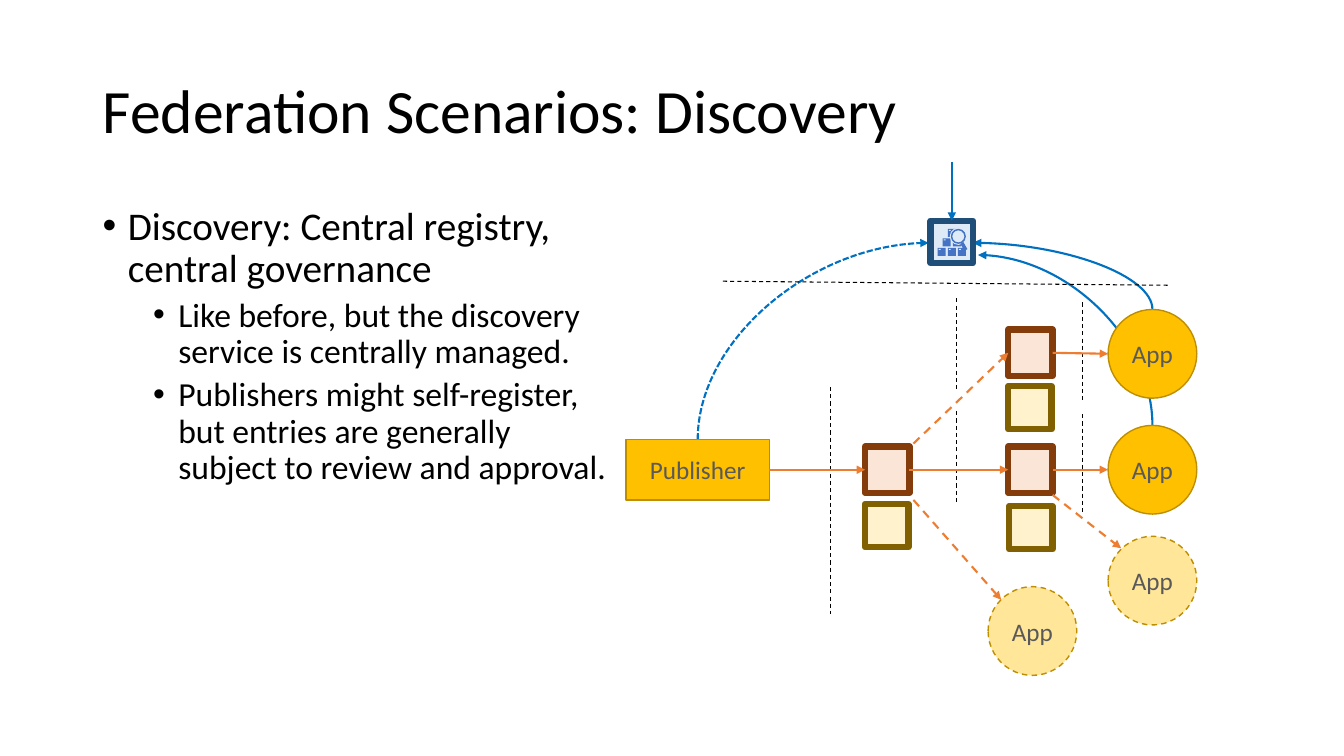
from lxml.etree import SubElement
from pptx import Presentation
from pptx.dml.color import RGBColor
from pptx.enum.dml import MSO_LINE as Dash
from pptx.enum.shapes import MSO_CONNECTOR as Link, MSO_SHAPE as Kind
from pptx.enum.text import MSO_ANCHOR as Anchor, MSO_AUTO_SIZE as Fit, PP_ALIGN as Align
from pptx.oxml.ns import qn
from pptx.util import Inches, Pt

BLACK = RGBColor(0x00, 0x00, 0x00)
GRAY = RGBColor(0x59, 0x59, 0x59)
GOLD = RGBColor(0xFF, 0xC0, 0x00)
PALE = RGBColor(0xFF, 0xE6, 0x99)
EDGE = RGBColor(0xBD, 0x8E, 0x00)
PEACH = RGBColor(0xFB, 0xE5, 0xD6)
BROWN = RGBColor(0x84, 0x3C, 0x0B)
CREAM = RGBColor(0xFF, 0xF2, 0xCC)
OLIVE = RGBColor(0x80, 0x60, 0x00)
ICE = RGBColor(0xDE, 0xEB, 0xF7)
NAVY = RGBColor(0x1F, 0x4E, 0x79)
ICON = RGBColor(0x44, 0x72, 0xC4)
ORANGE = RGBColor(0xED, 0x7D, 0x31)
BLUE = RGBColor(0x00, 0x70, 0xC0)

TITLE = "Federation Scenarios: Discovery"
POINTS = [
    (0, ["Discovery: Central registry, central governance"]),
    (1, ["Like before, but the discovery service is centrally managed."]),
    (1, ["Publishers might self-register,", "but entries are generally",
         "subject to review and approval."]),
]
LEVELS = [(0.25, 28, 10), (0.75, 24, 5)]

CURVES = [
    ((6.92, 4.36), (9.21, 2.41), Dash.SQUARE_DOT),
    ((11.43, 3.07), (9.65, 2.41), None),
    ((11.43, 4.22), (9.7, 2.53), None),
]
RELAYS = {"hub": (8.58, 4.43), "low": (10, 4.43), "high": (10, 3.27)}
STORES = [(10, 3.83), (10.01, 5.02), (8.58, 5)]
APPS = [(10.99, 3.07, True), (10.99, 4.22, True), (10.99, 5.32, False), (9.8, 5.82, False)]
BORDERS = [
    ((8.24, 3.84), (8.24, 6.09)),
    ((9.49, 4.08), (9.49, 4.98)),
    ((10.74, 4.11), (10.74, 5.11)),
    ((9.49, 2.96), (9.49, 3.86)),
    ((10.74, 3), (10.74, 4)),
    ((7.17, 2.79), (11.59, 2.83)),
]
FLOWS = [
    ("pub", "hub"),
    ("hub", "low"),
    ("low", (10.99, 4.66)),
    ("high", (10.99, 3.51)),
]
OPTIONS = [
    ((9.06, 4.4), (10, 3.5)),
    ((10.44, 4.91), (11.12, 5.44)),
    ((9.06, 4.96), (9.93, 5.95)),
]


def style(run, size, color):
    font = run.font
    font.name, font.size, font.color.rgb = "Calibri", Pt(size), color


def add_node(slide, kind, box, fill, edge=None, width=1, text="", dash=None):
    node = slide.shapes.add_shape(kind, *map(Inches, box))
    node.shadow.inherit = False
    node.fill.solid()
    node.fill.fore_color.rgb = fill
    if edge is None:
        node.line.fill.background()
    else:
        node.line.color.rgb, node.line.width = edge, Pt(width)
        node.line.dash_style = dash
    if text:
        frame = node.text_frame
        frame.vertical_anchor = Anchor.MIDDLE
        para = frame.paragraphs[0]
        para.alignment = Align.CENTER
        run = para.add_run()
        run.text = text
        style(run, 18, GRAY)
    return node


def add_line(slide, start, end, color, width=1.5, dash=None, arrow=True, kind=Link.STRAIGHT):
    line = slide.shapes.add_connector(kind, *map(Inches, (*start, *end)))
    line.line.color.rgb, line.line.width = color, Pt(width)
    line.line.dash_style = dash
    props = line._element.spPr
    if arrow:
        SubElement(props.find(qn("a:ln")), qn("a:tailEnd"), type="triangle")
    SubElement(props, qn("a:effectLst"))
    return line


def add_curve(slide, start, end, dash):
    (x1, y1), (x2, y2) = start, end
    mid_x, mid_y = (x1 + x2) / 2, (y1 + y2) / 2
    half_w, half_h = abs(y2 - y1) / 2, abs(x2 - x1) / 2
    line = add_line(slide, (mid_x - half_w, mid_y - half_h), (mid_x + half_w, mid_y + half_h),
                    BLUE, dash=dash, kind=Link.CURVE)
    props = line._element.spPr
    props.find(qn("a:prstGeom")).set("prst", "curvedConnector2")
    form = props.find(qn("a:xfrm"))
    form.set("rot", str((90 if x2 > x1 else 270) * 60000))
    form.set("flipV", "1")
    if x2 > x1:
        form.set("flipH", "1")


def add_icon(slide):
    for row in range(3):
        for col in range(row + 1):
            x, y = 9.4 - 0.05 * row + 0.1 * col, 2.27 + 0.095 * row
            add_node(slide, Kind.RECTANGLE, (x, y, 0.08, 0.08), ICON)
            add_node(slide, Kind.RECTANGLE, (x + 0.01, y + 0.01, 0.02, 0.01), ICE)
    add_node(slide, Kind.OVAL, (9.42, 2.26, 0.17, 0.17), ICE)
    lens = add_node(slide, Kind.DONUT, (9.43, 2.27, 0.15, 0.15), ICON)
    lens.adjustments[0] = 0.1
    add_line(slide, (9.54, 2.41), (9.58, 2.48), ICON, 2.5, arrow=False)


def add_text(slide):
    title = slide.shapes.title
    title.left, title.top, title.width, title.height = map(Inches, (0.92, 0.4, 11.5, 1.45))
    frame = title.text_frame
    frame.auto_size, frame.vertical_anchor = Fit.NONE, Anchor.MIDDLE
    para = frame.paragraphs[0]
    para.alignment, para.line_spacing = Align.LEFT, 0.9
    run = para.add_run()
    run.text = TITLE
    style(run, 44, BLACK)

    frame = slide.shapes.add_textbox(*map(Inches, (0.92, 2, 5.62, 3.51))).text_frame
    frame.word_wrap = True
    for i, (level, lines) in enumerate(POINTS):
        para = frame.add_paragraph() if i else frame.paragraphs[0]
        left, size, gap = LEVELS[level]
        props = para._p.get_or_add_pPr()
        props.set("marL", str(Inches(left)))
        props.set("indent", str(Inches(-0.25)))
        SubElement(props, qn("a:buFont"), typeface="Arial")
        SubElement(props, qn("a:buChar"), char="•")
        para.level, para.line_spacing = level, 0.9
        para.space_before = Pt(gap if i else 0)
        for j, line in enumerate(lines):
            if j:
                para.add_line_break()
            run = para.add_run()
            run.text = line
            style(run, size, BLACK)


def add_graph(slide):
    for start, end, dash in CURVES:
        add_curve(slide, start, end, dash)
    nodes = {"pub": add_node(slide, Kind.RECTANGLE, (6.21, 4.36, 1.42, 0.6), GOLD, EDGE,
                             text="Publisher")}
    for name, spot in RELAYS.items():
        nodes[name] = add_node(slide, Kind.RECTANGLE, (*spot, 0.44, 0.46), PEACH, BROWN, 4.5)
    for spot in STORES:
        add_node(slide, Kind.RECTANGLE, (*spot, 0.43, 0.43), CREAM, OLIVE, 4.5)
    for x, y, live in APPS:
        add_node(slide, Kind.OVAL, (x, y, 0.88, 0.88), GOLD if live else PALE, EDGE,
                 text="App", dash=None if live else Dash.DASH)
    for start, end in BORDERS:
        add_line(slide, start, end, BLACK, 0.75, Dash.DASH, False)
    for name, goal in FLOWS:
        joined = goal in nodes
        line = add_line(slide, (0, 0), (0, 0) if joined else goal, ORANGE)
        line.begin_connect(nodes[name], 3)
        if joined:
            line.end_connect(nodes[goal], 1)
    for start, end in OPTIONS:
        add_line(slide, start, end, ORANGE, dash=Dash.DASH)
    hub = add_node(slide, Kind.RECTANGLE, (9.23, 2.19, 0.42, 0.42), ICE, NAVY, 4.5)
    add_line(slide, (9.44, 1.61), (9.44, 2.19), BLUE).end_connect(hub, 0)
    add_icon(slide)


def main():
    """Build the discovery slide and save it."""
    deck = Presentation()
    deck.slide_width, deck.slide_height = Inches(13.33), Inches(7.5)
    slide = deck.slides.add_slide(deck.slide_layouts[5])
    add_text(slide)
    add_graph(slide)
    deck.save("out.pptx")


if __name__ == "__main__":
    main()
